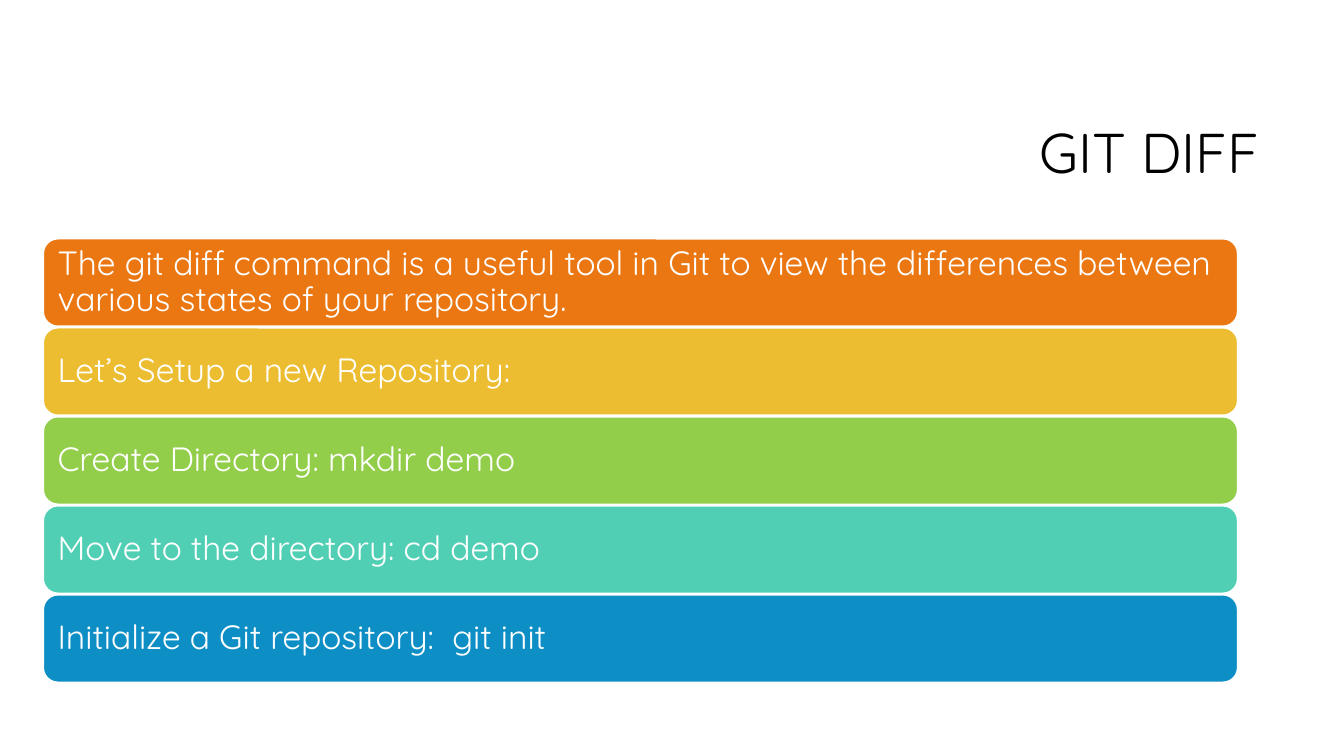
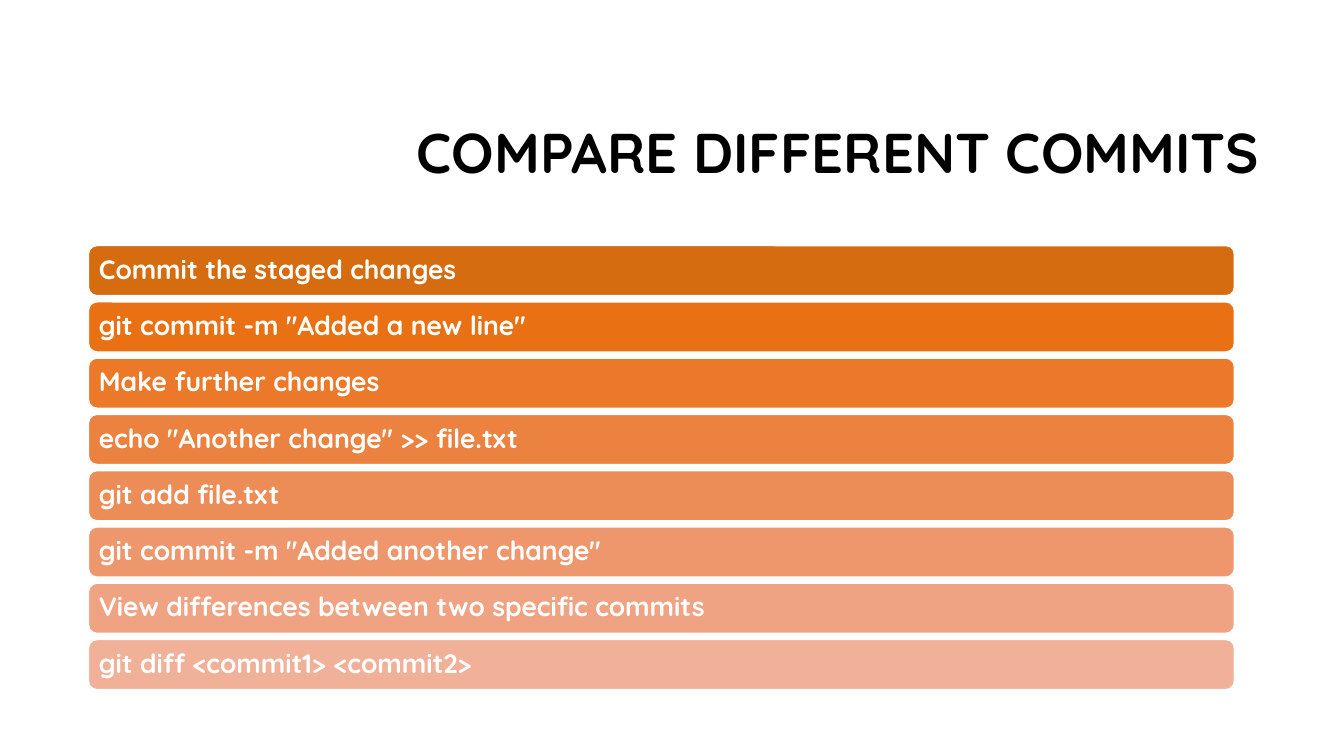
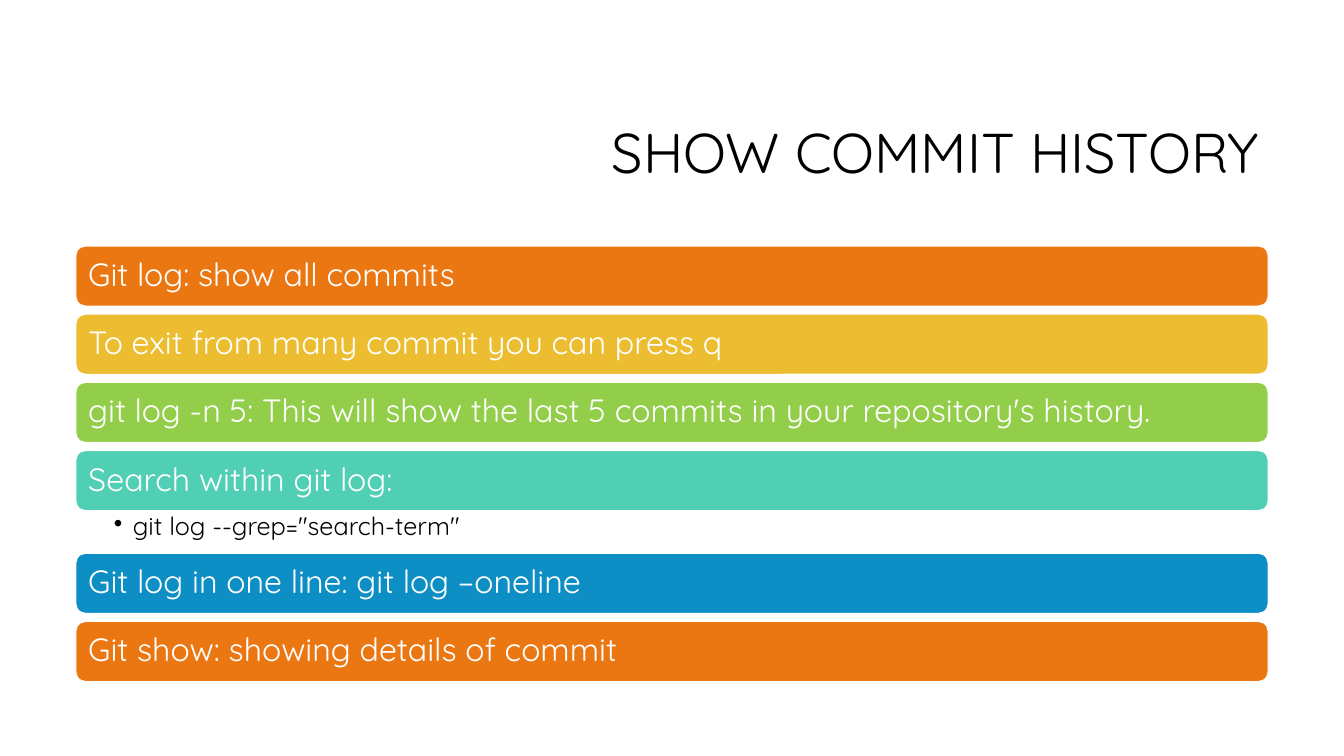
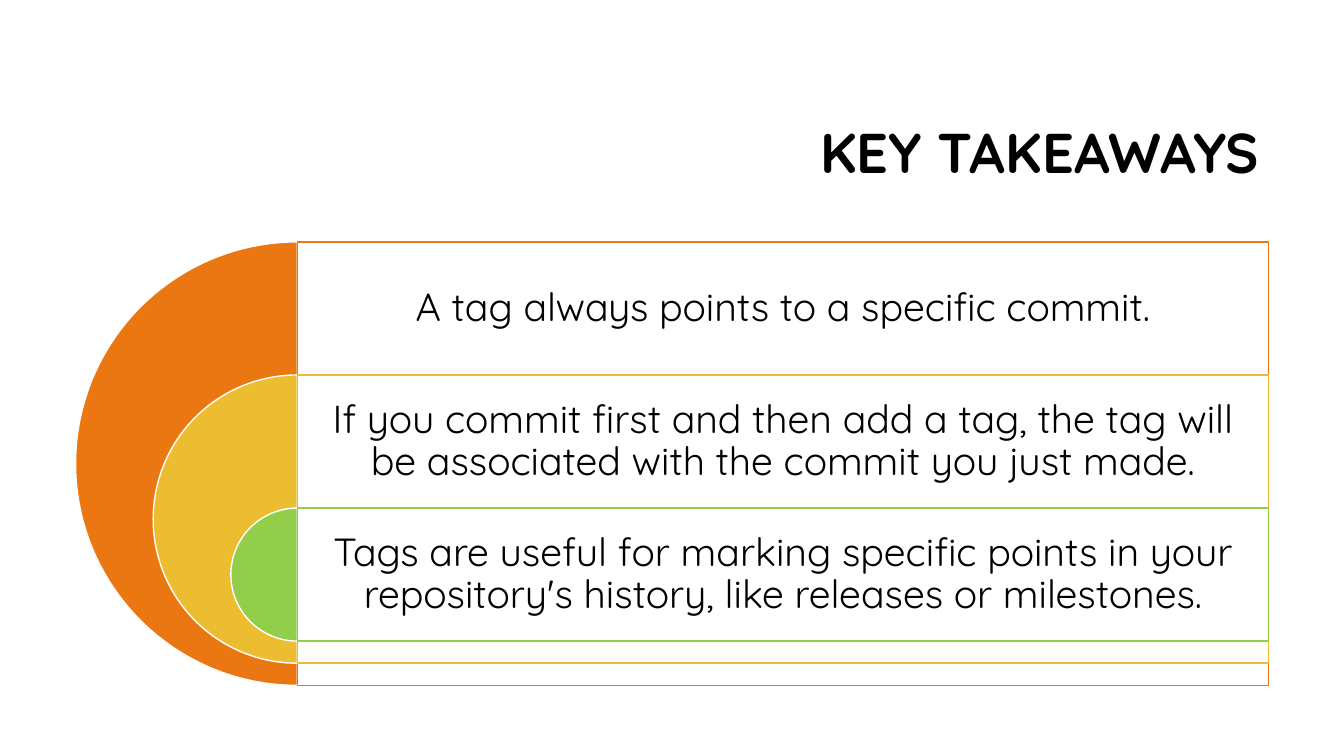
"""Build four slides about Git: diff, commit comparison, history and tags."""
import itertools

import pptx
import pptx.dml.color
import pptx.enum.shapes
import pptx.enum.text
import pptx.oxml
import pptx.oxml.ns
import pptx.util

Pt = pptx.util.Pt
RGBColor = pptx.dml.color.RGBColor
MSO_SHAPE = pptx.enum.shapes.MSO_SHAPE
PP_ALIGN = pptx.enum.text.PP_ALIGN
MSO_ANCHOR = pptx.enum.text.MSO_ANCHOR

FONT = "Quicksand"
BLACK = RGBColor(0x00, 0x00, 0x00)
WHITE = RGBColor(0xFF, 0xFF, 0xFF)
ORANGE = RGBColor(0xEB, 0x77, 0x12)
YELLOW = RGBColor(0xEC, 0xBD, 0x31)
GREEN = RGBColor(0x92, 0xCE, 0x4A)
TEAL = RGBColor(0x50, 0xCF, 0xB4)
BLUE = RGBColor(0x0D, 0x8E, 0xC5)
RAINBOW = [ORANGE, YELLOW, GREEN, TEAL, BLUE]
ORANGE_TINTS = [
    RGBColor(0xD5, 0x6C, 0x10), RGBColor(0xE9, 0x71, 0x14),
    RGBColor(0xEB, 0x79, 0x29), RGBColor(0xEC, 0x82, 0x40),
    RGBColor(0xEC, 0x8C, 0x56), RGBColor(0xEE, 0x97, 0x6C),
    RGBColor(0xEF, 0xA3, 0x82), RGBColor(0xF1, 0xB0, 0x98),
]
TITLE_BOX = (228.2, 60.5, 678.2, 101.5)

DIFF_ROWS = [
    "The git diff command is a useful tool in Git to view the differences "
    "between various states of your repository.",
    "Let’s Setup a new Repository:",
    "Create Directory: mkdir demo",
    "Move to the directory: cd demo",
    "Initialize a Git repository:  git init",
]
COMPARE_ROWS = [
    "Commit the staged changes",
    'git commit -m "Added a new line"',
    "Make further changes",
    'echo "Another change" >> file.txt',
    "git add file.txt",
    'git commit -m "Added another change"',
    "View differences between two specific commits",
    "git diff <commit1> <commit2>",
]
HISTORY_ROWS = [
    "Git log: show all commits",
    "To exit from many commit you can press q",
    "git log -n 5: This will show the last 5 commits in your repository's history.",
    "Search within git log:",
    "Git log in one line: git log –oneline",
    "Git show: showing details of commit",
]
HISTORY_DETAILS = {3: 'git log --grep="search-term"'}
TAKEAWAYS = [
    "A tag always points to a specific commit.",
    "If you commit first and then add a tag, the tag will be associated with "
    "the commit you just made.",
    "Tags are useful for marking specific points in your repository's history, "
    "like releases or milestones.",
]


def add_text(sp, text, size, color, bold=False, align=PP_ALIGN.LEFT,
             anchor=MSO_ANCHOR.MIDDLE, margins=(7.2, 3.6, 7.2, 3.6)):
    """Write one styled paragraph into a shape and return the paragraph."""
    tf = sp.text_frame
    tf.word_wrap = True
    tf.vertical_anchor = anchor
    tf.margin_left, tf.margin_top, tf.margin_right, tf.margin_bottom = map(Pt, margins)
    tf.text = text
    p = tf.paragraphs[0]
    p.alignment = align
    p.line_spacing = 0.9
    font = p.runs[0].font
    font.name, font.size, font.bold = FONT, Pt(size), bold
    font.color.rgb = color
    return p


def add_box(slide, kind, box, fill, line):
    """Add a filled preset shape with a thin outline and no shadow."""
    sp = slide.shapes.add_shape(kind, *map(Pt, box))
    sp.shadow.inherit = False
    sp.fill.solid()
    sp.fill.fore_color.rgb = fill
    sp.line.color.rgb = line
    sp.line.width = Pt(1)
    return sp


def add_slide(prs, title, bold=False):
    """Add a blank slide with a right-aligned title."""
    slide = prs.slides.add_slide(prs.slide_layouts[6])
    sp = slide.shapes.add_textbox(*map(Pt, TITLE_BOX))
    add_text(sp, title, 40, BLACK, bold, PP_ALIGN.RIGHT)
    return slide


def add_detail(slide, box, text):
    """Add a bulleted detail line below a band."""
    sp = slide.shapes.add_textbox(*map(Pt, box))
    p = add_text(sp, text, 18, BLACK, anchor=MSO_ANCHOR.TOP,
                 margins=(27.4, 2.2, 13, 2.2))
    pPr = p._p.get_or_add_pPr()
    pPr.set("marL", str(Pt(13.5)))
    pPr.set("indent", str(-Pt(13.5)))
    bullet = pptx.oxml.parse_xml(
        '<a:buChar %s char="•"/>' % pptx.oxml.ns.nsdecls("a"))
    pPr.append(bullet)


def add_bands(slide, box, rows, colors, gap, size, margin, bold=False,
              details=None, detail_height=0):
    """Fill the box with equal rounded bands, with optional details between them."""
    x, y, w, h = box
    details = details or {}
    gaps = (len(rows) - 1 - len(details)) * gap + len(details) * detail_height
    band = (h - gaps) / len(rows)
    for i, (text, color) in enumerate(zip(rows, itertools.cycle(colors))):
        sp = add_box(slide, MSO_SHAPE.ROUNDED_RECTANGLE, (x, y, w, band), color, WHITE)
        add_text(sp, text, size, WHITE, bold, margins=(margin,) * 4)
        y += band
        if i in details:
            add_detail(slide, (x, y, w, detail_height), details[i])
            y += detail_height
        else:
            y += gap


def add_nested_rings(slide, box, rows, colors):
    """Nest half discs on the left of the box, each with an outlined text panel."""
    x, y, w, h = box
    band = 0.3 * h
    for i, (text, color) in enumerate(zip(rows, colors)):
        d = h * (1 - 0.35 * i)
        top = y + band * i
        center = x + h / 2
        pie = add_box(slide, MSO_SHAPE.PIE, (center - d / 2, top, d, d), color, WHITE)
        pie.adjustments[0], pie.adjustments[1] = 54, 162
        panel = add_box(slide, MSO_SHAPE.RECTANGLE,
                        (center, top, w - h / 2, d), WHITE, color)
        srgb = panel.fill._xPr.find(".//" + pptx.oxml.ns.qn("a:srgbClr"))
        srgb.append(pptx.oxml.parse_xml(
            '<a:alpha %s val="90000"/>' % pptx.oxml.ns.nsdecls("a")))
        add_text(panel, text, 28, BLACK, align=PP_ALIGN.CENTER,
                 margins=(8.4, 8.4, 8.4, 8.4 + d - band))


def main():
    """Build and save the slides."""
    prs = pptx.Presentation()
    prs.slide_width, prs.slide_height = Pt(960), Pt(540)

    slide = add_slide(prs, "GIT DIFF")
    add_bands(slide, (31, 170.6, 853, 316.7), DIFF_ROWS, RAINBOW, 1.2, 24, 7.2)

    slide = add_slide(prs, "COMPARE DIFFERENT COMMITS", bold=True)
    add_bands(slide, (63.2, 175.4, 818.5, 317.2), COMPARE_ROWS, ORANGE_TINTS,
              4.4, 19, 5.7, bold=True)

    slide = add_slide(prs, "SHOW COMMIT HISTORY")
    add_bands(slide, (54, 175.6, 852, 311.4), HISTORY_ROWS, RAINBOW, 5.5, 23, 6.9,
              details=HISTORY_DETAILS, detail_height=30.2)

    slide = add_slide(prs, "KEY TAKEAWAYS", bold=True)
    add_nested_rings(slide, (54, 172.8, 852, 316.8), TAKEAWAYS, RAINBOW)

    prs.save("out.pptx")


if __name__ == "__main__":
    main()
